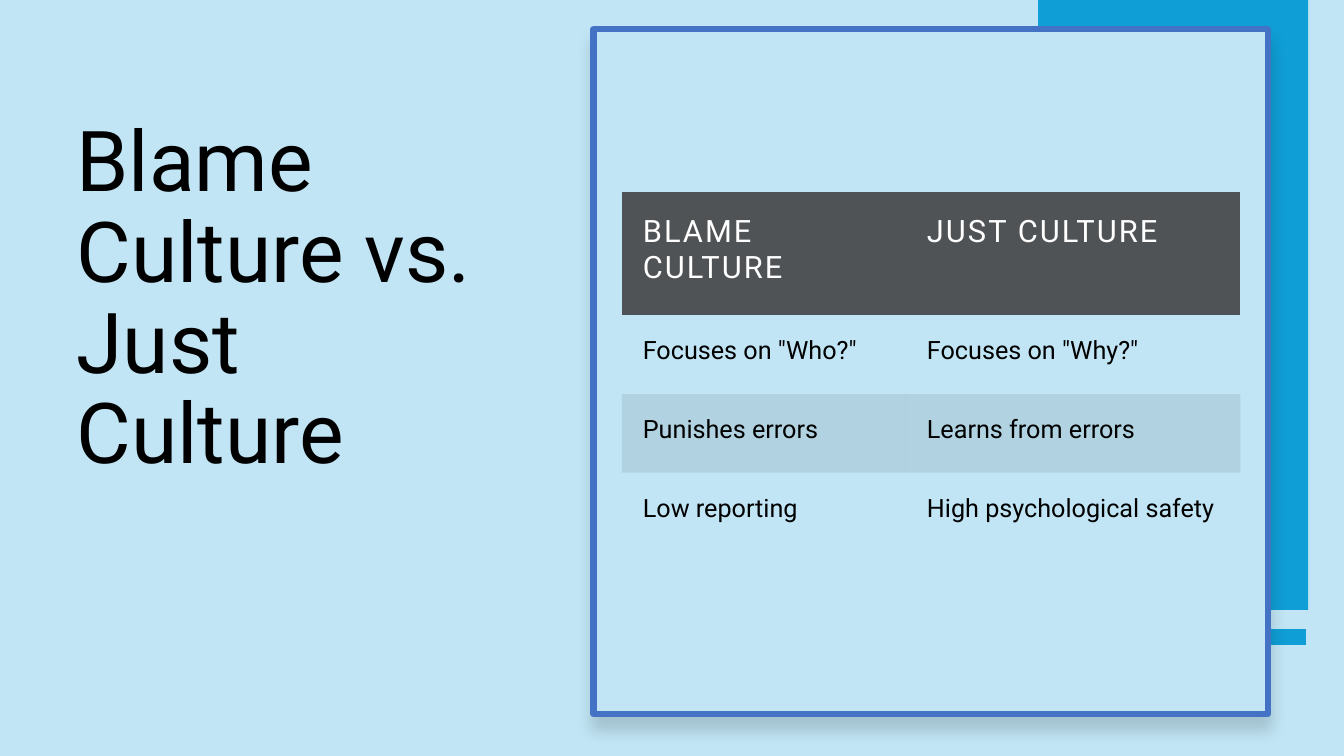
from typing import NamedTuple

from lxml import etree
from pptx import Presentation
from pptx.dml.color import RGBColor
from pptx.enum.shapes import MSO_CONNECTOR, MSO_SHAPE
from pptx.enum.text import MSO_ANCHOR
from pptx.oxml.ns import qn
from pptx.util import Cm, Pt

RECT = MSO_SHAPE.RECTANGLE
LINE = MSO_CONNECTOR.STRAIGHT
BOTTOM = MSO_ANCHOR.BOTTOM

FONT = "Roboto"
BLACK, WHITE = "000000", "FFFFFF"
PALE, BRIGHT, EDGE, DARK = "C1E5F5", "0F9ED5", "4472C4", "505356"
PLAIN_STYLE = "{2D5ABB26-0587-4C30-8999-92F81FD0307C}"
COLS = (7.16, 8.43)
INSET = Cm(0.53)


class Box(NamedTuple):
    left: float
    top: float
    width: float
    height: float
    fill: str
    edge: str = ""


class Row(NamedTuple):
    texts: tuple[str, str]
    height: float = 1.98
    size: int = 18
    color: str = BLACK
    fill: str = ""
    alpha: int = 100
    space: float = 0


PANEL = Box(26.16, 0, 6.81, 15.37, BRIGHT)
CARD = Box(14.96, 0.74, 16.99, 17.25, PALE, EDGE)
ROWS = (
    Row(("BLAME CULTURE", "JUST CULTURE"), 3.1, 22, WHITE, DARK, space=1.5),
    Row(('Focuses on "Who?"', 'Focuses on "Why?"')),
    Row(("Punishes errors", "Learns from errors"), fill=BLACK, alpha=8),
    Row(("Low reporting", "High psychological safety")),
)


def paint(target, color: str) -> None:
    """Give a fill one solid colour."""
    target.solid()
    target.fore_color.rgb = RGBColor.from_string(color)


def fade(node, alpha: int) -> None:
    """Set the opacity, in percent, of the colour inside node."""
    color = node.find(".//" + qn("a:srgbClr"))
    etree.SubElement(color, qn("a:alpha"), val=str(alpha * 1000))


def add_run(para, text: str, size: int, color: str, space: float = 0) -> None:
    run = para.add_run()
    run.text = text
    run.font.name = FONT
    run.font.size = Pt(size)
    paint(run.font.fill, color)
    if space:
        run.font._element.set("spc", str(round(space * 100)))


def add_box(slide, box: Box):
    shape = slide.shapes.add_shape(RECT, *map(Cm, box[:4]))
    shape.shadow.inherit = False
    paint(shape.fill, box.fill)
    if box.edge:
        paint(shape.line.fill, box.edge)
        shape.line.width = Pt(4.5)
    else:
        shape.line.fill.background()
    return shape


def add_shadow(shape) -> None:
    effects = shape._element.spPr.find(qn("a:effectLst"))
    shadow = etree.SubElement(
        effects, qn("a:outerShdw"), blurRad=str(Pt(11)), dist=str(Pt(10)),
        dir=str(90 * 60000), algn="t", rotWithShape="0")
    etree.SubElement(shadow, qn("a:srgbClr"), val=BLACK)
    fade(shadow, 15)


def add_bar(slide) -> None:
    """Draw the thick line below the panel."""
    bar = slide.shapes.add_connector(
        LINE, Cm(32.92), Cm(16.05), Cm(26.16), Cm(16.05))
    paint(bar.line.fill, BRIGHT)
    bar.line.width = Pt(12)
    etree.SubElement(bar._element.spPr, qn("a:effectLst"))


def add_title(slide) -> None:
    box = slide.shapes.add_textbox(Cm(1.68), Cm(1.88), Cm(11.58), Cm(10.39))
    frame = box.text_frame
    frame.word_wrap = True
    frame.vertical_anchor = BOTTOM
    para = frame.paragraphs[0]
    para.line_spacing = 0.9
    add_run(para, "Blame Culture vs. Just Culture", 60, BLACK)


def fill_cell(cell, text: str, row: Row) -> None:
    cell.margin_left = cell.margin_right = INSET
    cell.margin_top = cell.margin_bottom = INSET
    if row.fill:
        paint(cell.fill, row.fill)
        if row.alpha < 100:
            fade(cell._tc.tcPr, row.alpha)
    else:
        cell.fill.background()
    para = cell.text_frame.paragraphs[0]
    add_run(para, text, row.size, row.color, row.space)


def add_grid(slide) -> None:
    high = sum(row.height for row in ROWS)
    frame = slide.shapes.add_table(
        len(ROWS), len(COLS), Cm(15.67), Cm(4.85), Cm(sum(COLS)), Cm(high))
    table = frame.table
    table.first_row = table.horz_banding = False
    table._tbl.tblPr.find(qn("a:tableStyleId")).text = PLAIN_STYLE
    for col, width in zip(table.columns, COLS):
        col.width = Cm(width)
    for line, row in zip(table.rows, ROWS):
        line.height = Cm(row.height)
        for cell, text in zip(line.cells, row.texts):
            fill_cell(cell, text, row)


def main() -> None:
    deck = Presentation()
    deck.slide_width, deck.slide_height = Cm(33.87), Cm(19.05)
    slide = deck.slides.add_slide(deck.slide_layouts[6])
    paint(slide.background.fill, PALE)
    add_title(slide)
    add_bar(slide)
    add_box(slide, PANEL)
    add_shadow(add_box(slide, CARD))
    add_grid(slide)
    deck.save("out.pptx")


if __name__ == "__main__":
    main()
